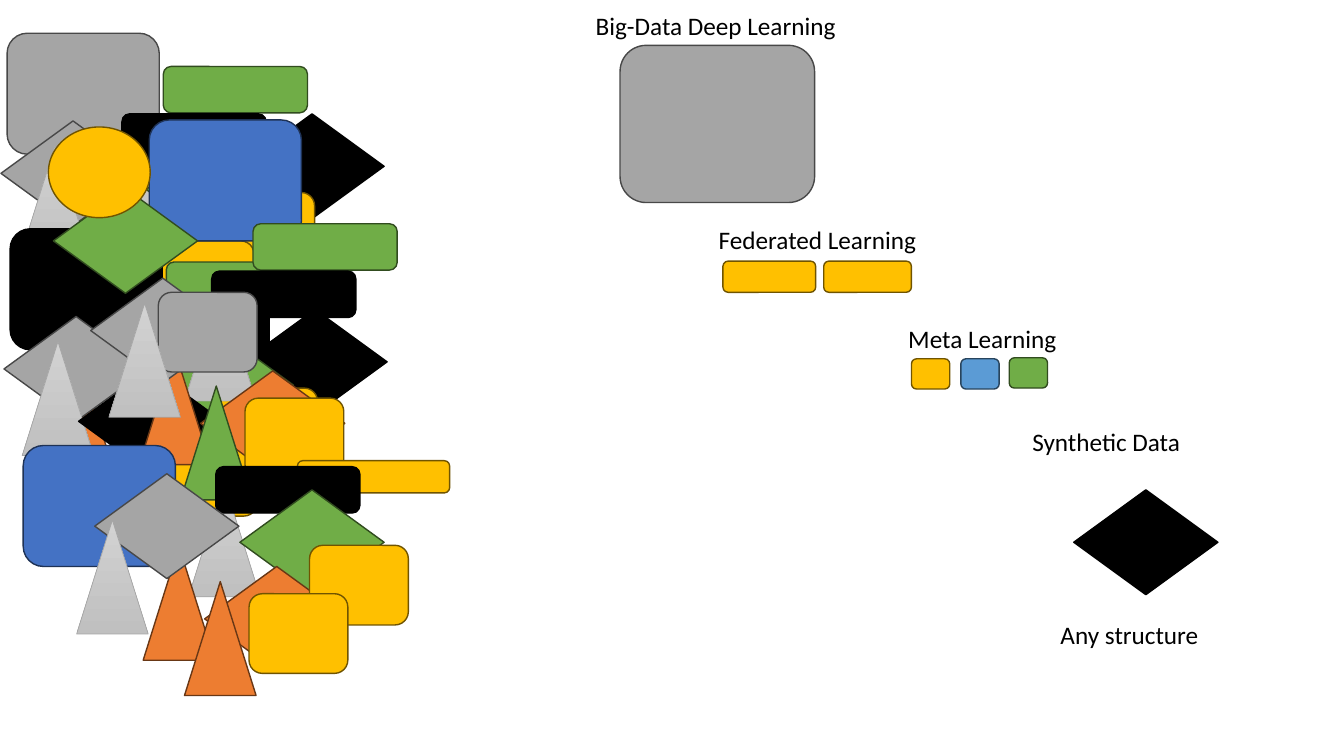
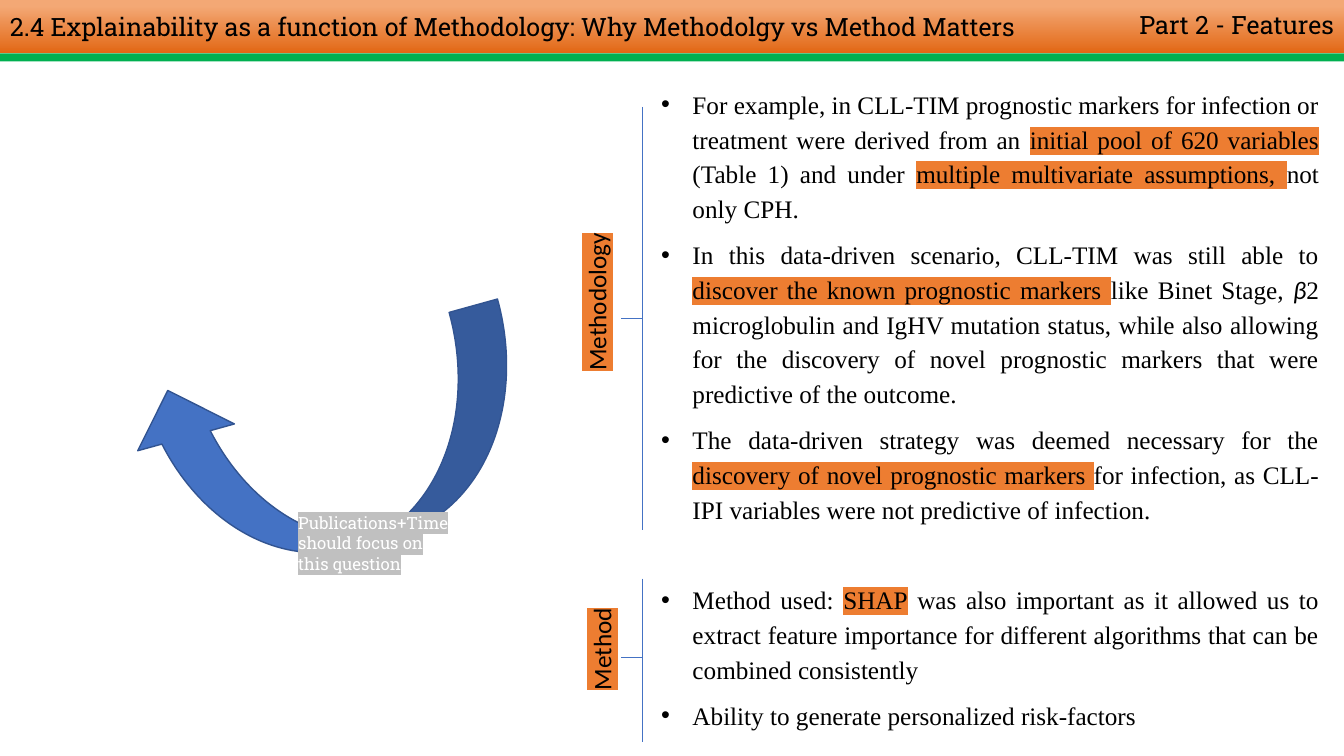
from lxml import etree
from pptx import Presentation
from pptx.dml import color
from pptx.enum import shapes, text
from pptx.oxml import ns
from pptx.util import Inches, Pt

GREY, GREEN, BLACK, GOLD = "A5A5A5", "70AD47", "000000", "FFC000"
ORANGE, BLUE, SKY, WHITE = "ED7D31", "4472C4", "5B9BD5", "FFFFFF"
SILVER = [(0, "D2D2D2"), (1, "C0C0C0")]
BAND = [(0.11, "F3A875"), (1, "E26714")]
EDGE = {GREY: "484848", GREEN: "314C1F", BLACK: BLACK, GOLD: "705400",
        ORANGE: "683715", BLUE: "1E3256", SKY: "28445D"}
SANS, SLAB, SERIF = "Calibri", "Roboto Slab", "Times New Roman"

FORM = shapes.MSO_SHAPE
ROUND = FORM.ROUNDED_RECTANGLE
KINDS = {
    "box": (ROUND, 1.51, 1.2),
    "bar": (ROUND, 1.43, 0.46),
    "long": (ROUND, 1.51, 0.32),
    "tile": (ROUND, 0.98, 0.79),
    "spike": (FORM.ISOSCELES_TRIANGLE, 0.71, 1.13),
    "gem": (FORM.DIAMOND, 1.43, 1.04),
    "disc": (FORM.OVAL, 1.01, 0.9),
    "big": (ROUND, 1.93, 1.56),
    "wide": (ROUND, 0.92, 0.31),
    "mid": (ROUND, 0.87, 0.31),
    "chip": (ROUND, 0.38, 0.3),
}
HEAP = [
    ("box", GREY, 0.07, 0.33), ("bar", GREEN, 1.62, 0.66),
    ("spike", SILVER, 0.94, 1.29), ("gem", BLACK, 2.38, 1.13),
    ("bar", BLACK, 1.21, 1.13), ("spike", ORANGE, 0.49, 1.92),
    ("gem", GREEN, 1.45, 1.36), ("gem", ORANGE, 1.1, 2.12),
    ("gem", GREY, 0.01, 1.2), ("tile", GOLD, 2.14, 1.91),
    ("tile", GOLD, 1.54, 2.39), ("spike", ORANGE, 0.9, 2.27),
    ("spike", SILVER, 0.19, 1.45),
]
ROUNDS = [
    (0, 0, {}),
    (0.03, 1.94, {0: ("box", BLACK, 0.1, 2.27)}),
    (0.89, 1.56, {
        0: ("box", BLUE, 1.48, 1.19), 3: ("gem", BLACK, 0.78, 3.66),
        6: ("gem", GREEN, 0.53, 1.87), 9: ("tile", GREY, 1.57, 2.9),
        11: ("spike", GREEN, 1.79, 3.83)}),
    (0.93, 3.5, {
        0: ("box", BLUE, 0.23, 4.42), 1: ("long", GOLD, 2.95, 4.57),
        3: ("gem", BLACK, 10.65, 4.86), 12: ("spike", SILVER, 0.76, 5.16)}),
]
SINGLES = [
    ("disc", GOLD, 0.48, 1.26), ("big", GREY, 6.15, 0.45),
    ("wide", GOLD, 7.17, 2.59), ("mid", GOLD, 8.17, 2.59),
    ("chip", GOLD, 9.04, 3.56), ("chip", SKY, 9.53, 3.56),
    ("chip", GREEN, 10.01, 3.55),
]
LABELS = [
    ("Big-Data Deep Learning", 5.81, 0.05, 3.47),
    ("Federated Learning", 7.03, 2.18, 2.56),
    ("Meta Learning", 8.91, 3.16, 1.77),
    ("Synthetic Data", 10.14, 4.18, 1.77),
    ("Any structure", 10.42, 6.09, 1.77),
]

TITLE = "2.4 Explainability as a function of Methodology: Why Methodolgy vs Method Matters"
PART = "Part 2 - Features"
QUERY = "Publications+Time should focus on this question"
POINTS = [
    [("For example, in CLL-TIM prognostic markers for infection or treatment "
      "were derived from an ", ""),
     ("initial pool of 620 variables ", "mark"),
     ("(Table 1) and under ", ""),
     ("multiple multivariate assumptions, ", "mark"),
     ("not only CPH. ", "")],
    [("In this data-driven scenario, CLL-TIM was still able to ", ""),
     ("discover the known prognostic markers ", "mark"),
     ("like Binet Stage, ", ""),
     ("β", "greek"),
     ("2 microglobulin and IgHV mutation status, while also allowing for the "
      "discovery of novel prognostic markers that were predictive of the outcome. ", "")],
    [("The data-driven strategy was deemed necessary for the ", ""),
     ("discovery of novel prognostic markers ", "mark"),
     ("for infection, as CLL-IPI variables were not predictive of infection. ", "")],
    [("Method used: ", ""),
     ("SHAP", "mark"),
     (" was also important as it allowed us to extract feature importance for "
      "different algorithms that can be combined consistently", "")],
    [("Ability to generate personalized risk-factors", "")],
]
SPLIT = 3
SIDES = [
    ("Methodology", 4.71, 2.37, 1.06, 5.26, 3.16),
    ("Method", 4.76, 5.54, 5.74, 7.36, 6.52),
]
RAIL, TICK = 6.37, 6.16


def rgb(code):
    return color.RGBColor.from_string(code)


def paint(fill, hue):
    if isinstance(hue, str):
        fill.solid()
        fill.fore_color.rgb = rgb(hue)
        return
    fill.gradient()
    fill.gradient_angle = 270
    for stop, (place, code) in zip(fill.gradient_stops, hue):
        stop.position = place
        stop.color.rgb = rgb(code)


def shape(slide, form, hue, x, y, w, h, edge=None, width=1):
    item = slide.shapes.add_shape(form, Inches(x), Inches(y), Inches(w), Inches(h))
    item.shadow.inherit = False
    paint(item.fill, hue)
    if edge:
        item.line.color.rgb = rgb(edge)
        item.line.width = Pt(width)
    else:
        item.line.fill.background()
    return item


def piece(slide, kind, hue, x, y):
    form, w, h = KINDS[kind]
    if hue is SILVER:
        shape(slide, form, hue, x, y, w, h, GREY, 0.5)
    else:
        shape(slide, form, hue, x, y, w, h, EDGE[hue])


def mark(run, code):
    tag = etree.SubElement(run._r.get_or_add_rPr(), ns.qn("a:highlight"))
    etree.SubElement(tag, ns.qn("a:srgbClr"), val=code)


def style(para, face, size=18, hue=BLACK):
    para.font.name = face
    para.font.size = Pt(size)
    para.font.color.rgb = rgb(hue)


def box(slide, x, y, w, h):
    item = slide.shapes.add_textbox(Inches(x), Inches(y), Inches(w), Inches(h))
    item.text_frame.word_wrap = True
    return item


def label(slide, words, x, y, w, h=0.4, face=SANS, size=18, hue=BLACK, back=None):
    item = box(slide, x, y, w, h)
    para = item.text_frame.paragraphs[0]
    run = para.add_run()
    run.text = words
    if back:
        mark(run, back)
    style(para, face, size, hue)
    return item


def rule(slide, x1, y1, x2, y2):
    item = slide.shapes.add_connector(
        shapes.MSO_CONNECTOR.STRAIGHT, Inches(x1), Inches(y1), Inches(x2), Inches(y2))
    item.line.color.rgb = rgb(BLUE)
    item.line.width = Pt(0.5)
    etree.SubElement(item._element.spPr, ns.qn("a:effectLst"))


def bullet(para):
    props = para._p.get_or_add_pPr()
    props.set("marL", str(Inches(0.31)))
    props.set("indent", str(-Inches(0.31)))
    etree.SubElement(props, ns.qn("a:buFont"), typeface="Arial")
    etree.SubElement(props, ns.qn("a:buChar"), char="•")


def points(slide):
    frame = box(slide, 6.46, 0.79, 6.72, 6.56).text_frame
    for i, parts in enumerate(POINTS):
        para = frame.add_paragraph() if i else frame.paragraphs[0]
        bullet(para)
        para.alignment = text.PP_ALIGN.JUSTIFY
        para.line_spacing = 1.15
        para.space_after = Pt(8)
        if i == SPLIT:
            para.space_before = Pt(32)
        style(para, SERIF)
        for words, look in parts:
            run = para.add_run()
            run.text = words
            if look == "mark":
                mark(run, ORANGE)
            elif look == "greek":
                run.font.name = SANS
                run.font.italic = True


def header(slide, title, part):
    shape(slide, FORM.RECTANGLE, "00B050", 0, 0.53, 13.33, 0.08)
    shape(slide, FORM.RECTANGLE, BAND, 0, 0, 13.33, 0.53)
    right = label(slide, part, 10.34, 0.04, 2.99, face=SLAB)
    right.text_frame.paragraphs[0].alignment = text.PP_ALIGN.RIGHT
    label(slide, title, 0, 0.06, 11, face=SLAB)


def data(slide):
    for dx, dy, moves in ROUNDS:
        for i, (kind, hue, x, y) in enumerate(HEAP):
            piece(slide, *moves.get(i, (kind, hue, x + dx, y + dy)))
    for single in SINGLES:
        piece(slide, *single)
    for entry in LABELS:
        label(slide, *entry)


def method(slide):
    arrow = shape(slide, FORM.CURVED_LEFT_ARROW, BLUE, 2.33, 2.5, 1.99, 3.89, "325491")
    arrow.rotation = 74.5
    points(slide)
    for words, x, y, top, end, mid in SIDES:
        label(slide, words, x, y, 2.41, back=ORANGE).rotation = 270
        rule(slide, RAIL, top, RAIL, end)
        rule(slide, RAIL, mid, TICK, mid)
    label(slide, QUERY, 2.86, 5.04, 1.74, 0.71, SLAB, 12, WHITE, "C0C0C0")
    header(slide, TITLE, PART)


def main():
    deck = Presentation()
    deck.slide_width, deck.slide_height = Inches(13.33), Inches(7.5)
    for build in (data, method):
        build(deck.slides.add_slide(deck.slide_layouts[6]))
    deck.save("out.pptx")


if __name__ == "__main__":
    main()
